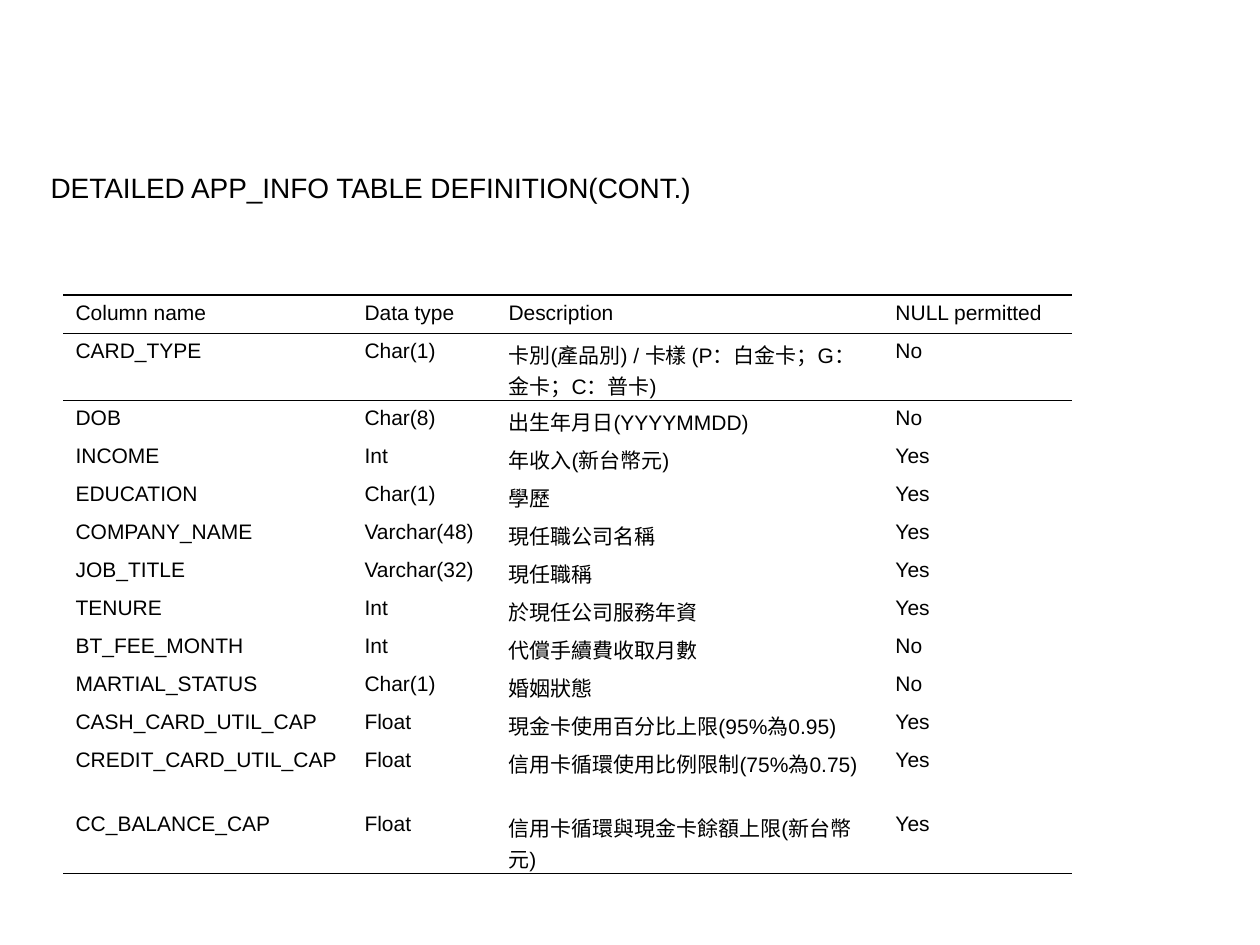
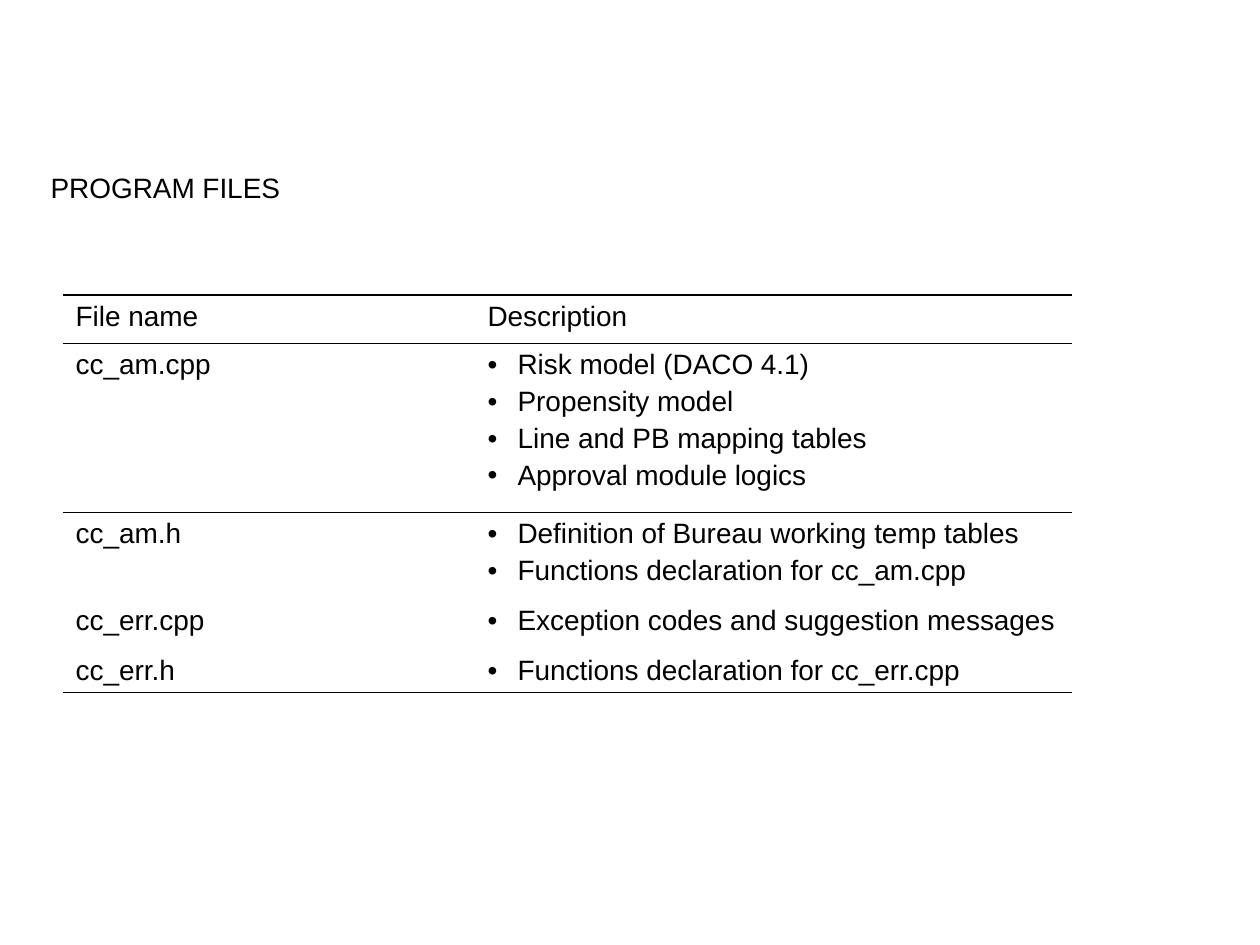
"""Build two slides that list the APP_INFO columns and the program files."""
import dataclasses

import pptx
import pptx.dml.color
import pptx.enum.text
import pptx.oxml
import pptx.oxml.ns
import pptx.util


@dataclasses.dataclass(frozen=True)
class Theme:
    font: str = "Arial"
    ink: str = "000000"
    title_size: int = 16
    column_size: int = 12
    file_size: int = 16
    outer_line: float = 0.75
    header_line: float = 0.45


THEME = Theme()
PX = 914400 / 126
NO_STYLE = "{2D5ABB26-0587-4C30-8999-92F81FD0307C}"
TOP = pptx.enum.text.MSO_ANCHOR.TOP
BOTTOM = pptx.enum.text.MSO_ANCHOR.BOTTOM


def write_text(frame, text, size, bullet=False, gap=3.3):
    for index, line in enumerate(text.split("\n")):
        paragraph = frame.paragraphs[0] if index == 0 else frame.add_paragraph()
        paragraph.alignment = pptx.enum.text.PP_ALIGN.LEFT
        paragraph.space_before = pptx.util.Pt(gap if index else 0)
        if bullet:
            properties = paragraph._p.get_or_add_pPr()
            properties.set("marL", str(round(30 * PX)))
            properties.set("indent", str(round(-30 * PX)))
            for tag in (f'a:buClr {NAMESPACE}><a:srgbClr val="{THEME.ink}"/></a:buClr',
                        f'a:buFont {NAMESPACE} typeface="{THEME.font}"/',
                        f'a:buChar {NAMESPACE} char="•"/'):
                properties.append(pptx.oxml.parse_xml(f"<{tag}>"))
        run = paragraph.add_run()
        run.text = line
        run.font.name = THEME.font
        run.font.size = pptx.util.Pt(size)
        run.font.bold = False
        run.font.color.rgb = pptx.dml.color.RGBColor.from_string(THEME.ink)


def add_border(cell, side, points):
    cell._tc.get_or_add_tcPr().append(pptx.oxml.parse_xml(
        f'<a:{side} {NAMESPACE} w="{round(points * 12700)}"><a:solidFill>'
        f'<a:srgbClr val="{THEME.ink}"/></a:solidFill></a:{side}>'))


NAMESPACE = pptx.oxml.ns.nsdecls("a")

app_info_rows = [
    ("Column name", "Data type", "Description", "NULL permitted"),
    ("CARD_TYPE", "Char(1)", "卡別(產品別) / 卡樣 (P：白金卡；G：金卡；C：普卡)", "No"),
    ("DOB", "Char(8)", "出生年月日(YYYYMMDD)", "No"),
    ("INCOME", "Int", "年收入(新台幣元)", "Yes"),
    ("EDUCATION", "Char(1)", "學歷", "Yes"),
    ("COMPANY_NAME", "Varchar(48)", "現任職公司名稱", "Yes"),
    ("JOB_TITLE", "Varchar(32)", "現任職稱", "Yes"),
    ("TENURE", "Int", "於現任公司服務年資", "Yes"),
    ("BT_FEE_MONTH", "Int", "代償手續費收取月數", "No"),
    ("MARTIAL_STATUS", "Char(1)", "婚姻狀態", "No"),
    ("CASH_CARD_UTIL_CAP", "Float", "現金卡使用百分比上限(95%為0.95)", "Yes"),
    ("CREDIT_CARD_UTIL_CAP", "Float", "信用卡循環使用比例限制(75%為0.75)", "Yes"),
    ("CC_BALANCE_CAP", "Float", "信用卡循環與現金卡餘額上限(新台幣元)", "Yes"),
]
file_rows = [
    ("File name", "Description"),
    ("cc_am.cpp", "Risk model (DACO 4.1)\nPropensity model\n"
                  "Line and PB mapping tables\nApproval module logics"),
    ("cc_am.h", "Definition of Bureau working temp tables\n"
                "Functions declaration for cc_am.cpp"),
    ("cc_err.cpp", "Exception codes and suggestion messages"),
    ("cc_err.h", "Functions declaration for cc_err.cpp"),
]
pages = [
    dict(title="DETAILED APP_INFO TABLE DEFINITION(CONT.)", rows=app_info_rows,
         widths=[289, 144, 387, 189], heights=[38, 64] + [38] * 9 + [64, 64],
         size=THEME.column_size, bulleted=False, bottom_margin=0, last_anchor=TOP),
    dict(title="PROGRAM FILES", rows=file_rows,
         widths=[412, 597], heights=[48, 169, 87, 47, 47],
         size=THEME.file_size, bulleted=True, bottom_margin=6, last_anchor=BOTTOM),
]

presentation = pptx.Presentation()
presentation.slide_width = round(1260 * PX)
presentation.slide_height = round(945 * PX)

for page in pages:
    slide = presentation.slides.add_slide(presentation.slide_layouts[5])
    title = slide.shapes.title
    title.left, title.top, title.width, title.height = (
        round(length * PX) for length in (38, 164, 1170, 47))
    title.text_frame.auto_size = pptx.enum.text.MSO_AUTO_SIZE.NONE
    title.text_frame.vertical_anchor = TOP
    write_text(title.text_frame, page["title"], THEME.title_size)

    rows, widths, heights = page["rows"], page["widths"], page["heights"]
    frame = slide.shapes.add_table(
        len(rows), len(widths), round(63 * PX), round(295 * PX),
        round(sum(widths) * PX), round(sum(heights) * PX))
    table = frame.table
    table.first_row = False
    table.horz_banding = False
    table._tbl.tblPr.find(pptx.oxml.ns.qn("a:tableStyleId")).text = NO_STYLE
    for column, width in zip(table.columns, widths):
        column.width = round(width * PX)
    last = len(rows) - 1
    for row_index, (values, height) in enumerate(zip(rows, heights)):
        table.rows[row_index].height = round(height * PX)
        for column_index, value in enumerate(values):
            cell = table.cell(row_index, column_index)
            cell.margin_bottom = round(page["bottom_margin"] * PX)
            cell.vertical_anchor = page["last_anchor"] if row_index == last else TOP
            write_text(cell.text_frame, value, page["size"],
                       bullet=page["bulleted"] and row_index > 0 and column_index == 1)
            if row_index < 2:
                add_border(cell, "lnT", THEME.header_line if row_index else THEME.outer_line)
            if row_index in (0, last):
                add_border(cell, "lnB", THEME.outer_line if row_index else THEME.header_line)
            cell.fill.background()

presentation.save("out.pptx")
